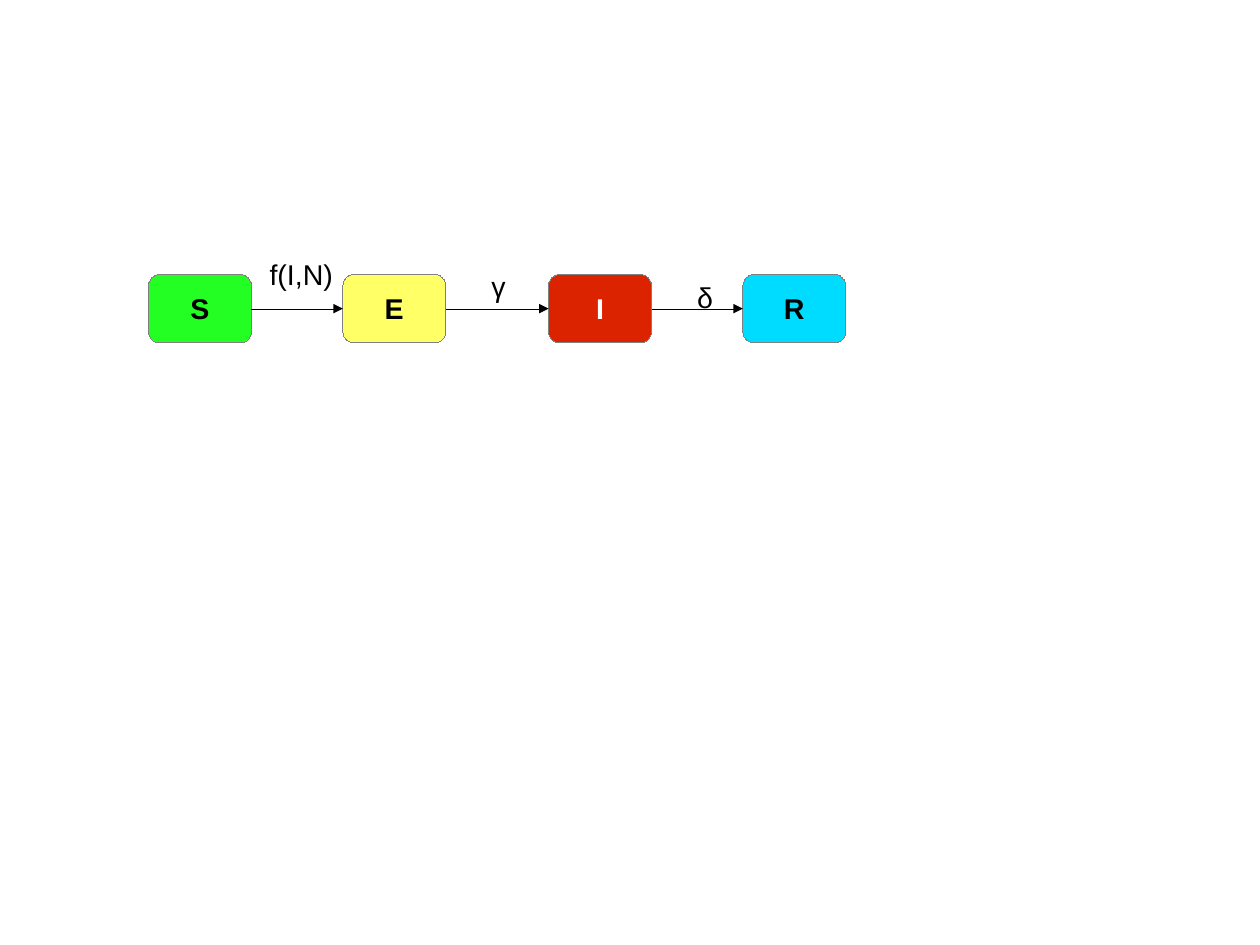
from dataclasses import dataclass

from lxml.etree import SubElement
from pptx import Presentation
from pptx.dml.color import RGBColor
from pptx.enum.shapes import MSO_CONNECTOR, MSO_SHAPE
from pptx.enum.text import MSO_ANCHOR, MSO_AUTO_SIZE, PP_ALIGN
from pptx.oxml.ns import qn
from pptx.util import Inches, Pt


@dataclass(frozen=True)
class Theme:
    font: str = "Arial"
    size: int = 18
    black: str = "000000"
    white: str = "FFFFFF"
    outline: str = "808080"
    susceptible: str = "23FF23"
    exposed: str = "FFFF66"
    infected: str = "DC2300"
    recovered: str = "00DCFF"


THEME = Theme()
CM_PER_INCH = 2.54
BOX_WIDTH, BOX_HEIGHT = 0.9, 0.6

# Letter, offset from the left of the model, fill, text colour
COMPARTMENTS = [
    ("S", 0, THEME.susceptible, THEME.black),
    ("E", 1.7, THEME.exposed, THEME.black),
    ("I", 3.5, THEME.infected, THEME.white),
    ("R", 5.2, THEME.recovered, THEME.black),
]

# Rate, offset from the left and top of the model, width
RATES = [
    ("f(I,N)", 0.96, -0.2, 0.77),
    ("γ", 2.9, -0.1, 0.32),
    ("δ", 4.7, 0, 0.34),
]


def write_text(shape, text, color, bold=False):
    frame = shape.text_frame
    frame.text = text
    frame.word_wrap = False
    font = frame.paragraphs[0].runs[0].font
    font.name = THEME.font
    font.size = Pt(THEME.size)
    font.bold = bold
    font.color.rgb = RGBColor.from_string(color)


def set_hairline(shape, color):
    shape.line.color.rgb = RGBColor.from_string(color)
    outline = shape._element.spPr.find(qn("a:ln"))
    # A zero width has to be written out, or the style's width applies
    outline.set("w", "0")
    return outline


def add_compartment(page, left, top, letter, fill, color):
    box = page.shapes.add_shape(
        MSO_SHAPE.FLOWCHART_ALTERNATE_PROCESS,
        Inches(left), Inches(top), Inches(BOX_WIDTH), Inches(BOX_HEIGHT))
    box.shadow.inherit = False
    box.fill.solid()
    box.fill.fore_color.rgb = RGBColor.from_string(fill)
    set_hairline(box, THEME.outline)
    write_text(box, letter, color, bold=True)
    box.text_frame.vertical_anchor = MSO_ANCHOR.MIDDLE
    box.text_frame.paragraphs[0].alignment = PP_ALIGN.CENTER
    return box


def add_arrow(page, source, target):
    middle = source.top + source.height // 2
    arrow = page.shapes.add_connector(
        MSO_CONNECTOR.STRAIGHT, source.left + source.width, middle,
        target.left, middle)
    arrow.begin_connect(source, 3)
    arrow.end_connect(target, 1)
    # Arrowhead at the target, no shadow
    outline = set_hairline(arrow, THEME.black)
    SubElement(outline, qn("a:tailEnd"), type="triangle")
    SubElement(arrow._element.spPr, qn("a:effectLst"))


def add_rate(page, left, top, width, text):
    label = page.shapes.add_textbox(
        Inches(left), Inches(top), Inches(width), Inches(0.38))
    write_text(label, text, THEME.black)
    label.text_frame.auto_size = MSO_AUTO_SIZE.SHAPE_TO_FIT_TEXT


def add_model(page, left, top):
    # Compartments
    boxes = [add_compartment(page, left + offset, top, letter, fill, color)
             for letter, offset, fill, color in COMPARTMENTS]
    # Transitions between neighbours
    for source, target in zip(boxes, boxes[1:]):
        add_arrow(page, source, target)
    # Transition rates
    for text, across, down, width in RATES:
        add_rate(page, left + across, top + down, width, text)


def main():
    deck = Presentation()
    deck.slide_width = Inches(28 / CM_PER_INCH)
    deck.slide_height = Inches(21 / CM_PER_INCH)
    page = deck.slides.add_slide(deck.slide_layouts[6])
    add_model(page, 1.3, 2.4)
    deck.save("out.pptx")


if __name__ == "__main__":
    main()
